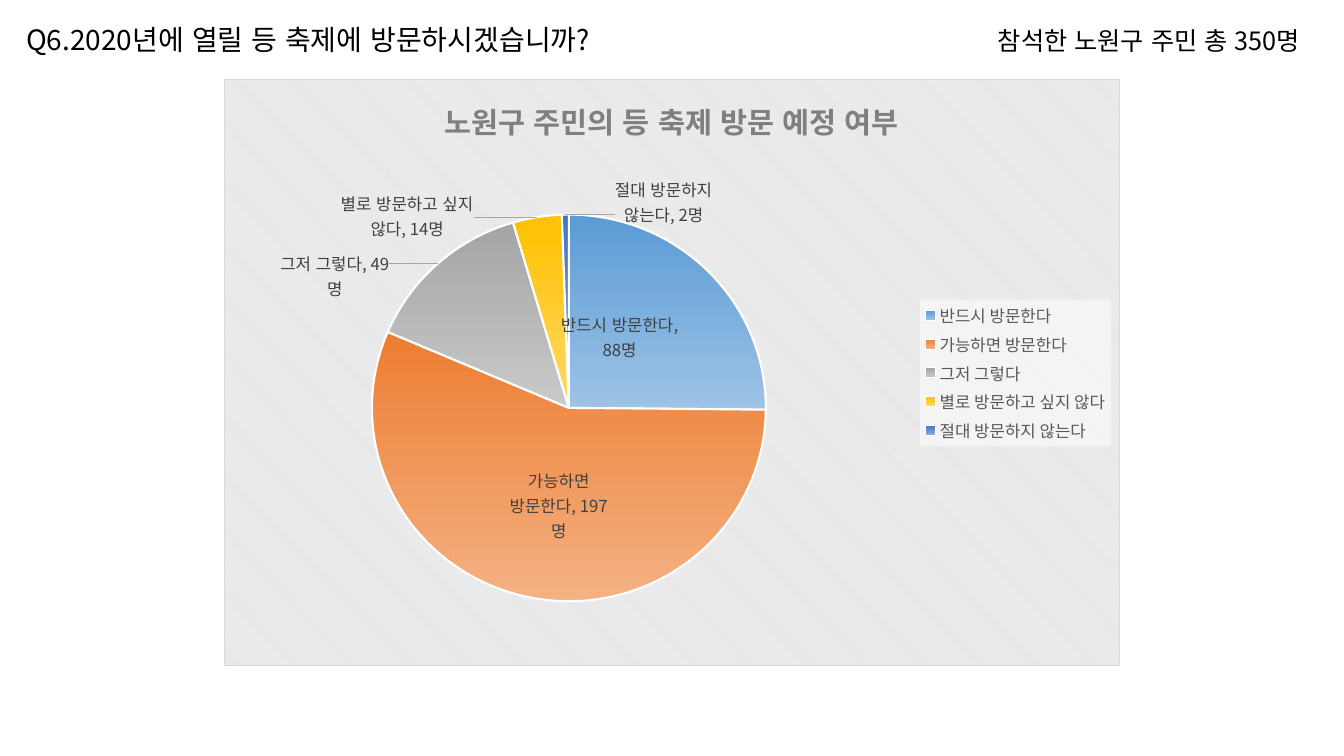
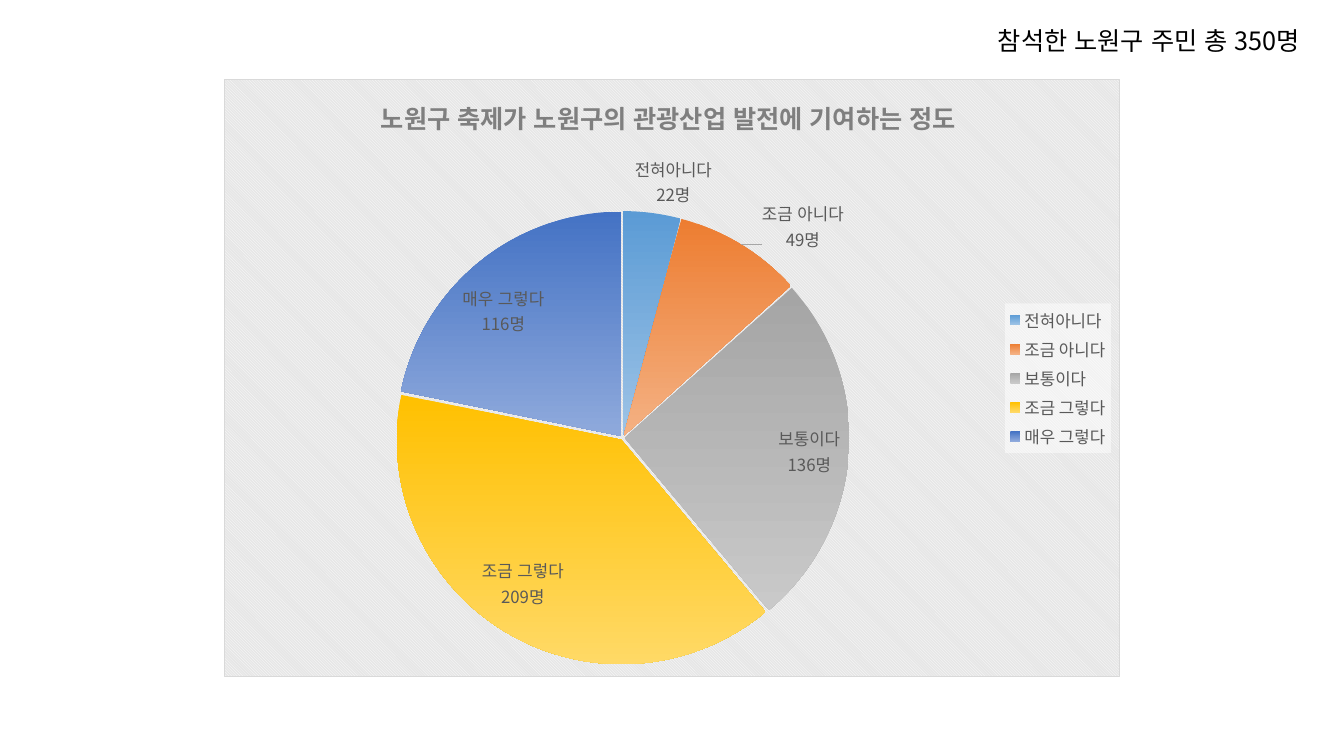
from dataclasses import dataclass

from lxml import etree
from pptx import Presentation
from pptx.chart.data import CategoryChartData
from pptx.dml.color import RGBColor
from pptx.enum.chart import XL_CHART_TYPE as ChartType
from pptx.enum.chart import XL_LABEL_POSITION as LabelPosition
from pptx.enum.chart import XL_LEGEND_POSITION as LegendPosition
from pptx.enum.lang import MSO_LANGUAGE_ID as Language
from pptx.oxml import parse_xml
from pptx.oxml.ns import nsdecls, qn
from pptx.util import Cm, Pt


@dataclass(frozen=True)
class Theme:
    font: str = "Noto Sans CJK KR"
    ink: str = "000000"
    title_grey: str = "7F7F7F"
    legend_grey: str = "595959"
    white: str = "FFFFFF"
    stripe_back: str = "E6E6E6"
    border: str = "D9D9D9"
    leader: str = "A6A6A6"
    slices: tuple = (("5B9BD5", "9DC3E6"), ("ED7D31", "F4B183"),
                     ("A5A5A5", "C9C9C9"), ("FFC000", "FFD966"),
                     ("4472C4", "8FAADC"))
    question_size: float = 20
    note_size: float = 18
    label_size: float = 12
    base_size: float = 10


THEME = Theme()
CHART_BOX = (5.64, 2, 22.58, 15.06)
QUESTION_BOX = (0.41, 0.43, 15.9, 1.12)
NOTE_BOX = (24.9, 0.51, 8.89, 1.02)
RESPONDENTS = "참석한 노원구 주민 총 350명"

# Label offsets are shares of the chart's width and height
VISIT = {
    "question": "Q6.2020년에 열릴 등 축제에 방문하시겠습니까?",
    "title": "노원구 주민의 등 축제 방문 예정 여부",
    "title_size": 21,
    "title_at": (0.24, 0.02),
    "answers": {"반드시 방문한다": 88, "가능하면 방문한다": 197, "그저 그렇다": 49,
                "별로 방문하고 싶지 않다": 14, "절대 방문하지 않는다": 2},
    "labels": ("반드시 방문한다,\n88명", "가능하면\n방문한다, 197\n명",
               "그저 그렇다, 49\n명", "별로 방문하고 싶지\n않다, 14명",
               "절대 방문하지\n않는다, 2명"),
    "label_color": "404040",
    "plot": (0.16, 0.23, 0.45, 0.66),
    "offsets": {0: (-0.17, 0.16), 1: (0.09, -0.23), 2: (-0.05, 0.07),
                3: (-0.07, 0.05), 4: (0.11, 0.03)},
    "outline": 1.5,
    "explosion": 0,
}
TOURISM = {
    "question": None,
    "title": "노원구 축제가 노원구의 관광산업 발전에 기여하는 정도",
    "title_size": 18,
    "title_at": (0.17, 0.02),
    "answers": {"전혀아니다": 22, "조금 아니다": 49, "보통이다": 136,
                "조금 그렇다": 209, "매우 그렇다": 116},
    "labels": ("전혀아니다\n22명", "조금 아니다\n49명", "보통이다\n136명",
               "조금 그렇다\n209명", "매우 그렇다\n116명"),
    "label_color": "595959",
    "plot": (0.19, 0.22, 0.51, 0.76),
    "offsets": {0: (-0.02, 0), 1: (0.02, 0.02)},
    "outline": None,
    "explosion": 1,
}


def style_font(font, size, color, bold=False):
    formats = {"name": THEME.font, "size": Pt(size), "bold": bold}
    for attribute, value in formats.items():
        setattr(font, attribute, value)
    font.color.rgb = RGBColor.from_string(color)
    east_asian = etree.SubElement(font._rPr, qn("a:ea"))
    east_asian.set("typeface", THEME.font)


def style_runs(frame, *style):
    for paragraph in frame.paragraphs:
        for run in paragraph.runs:
            style_font(run.font, *style)
            run.font.language_id = Language.KOREAN


def add_line_of_text(slide, box, text, size):
    frame = slide.shapes.add_textbox(*map(Cm, box)).text_frame
    frame.word_wrap = False
    frame.text = text
    style_runs(frame, size, THEME.ink)


def set_layout(parent, index, **values):
    """Place a chart part by shares, with c: element names as keys."""
    for old in parent.findall(qn("c:layout")):
        parent.remove(old)
    entries = "".join(f'<c:{key} val="{value}"/>' for key, value in values.items())
    parent.insert(index, parse_xml(
        f'<c:layout {nsdecls("c")}><c:manualLayout>{entries}'
        '</c:manualLayout></c:layout>'))


def style_chart_area(chart):
    # Striped background with a thin border
    area = parse_xml(
        f'<c:spPr {nsdecls("c", "a")}><a:pattFill prst="dkDnDiag">'
        f'<a:fgClr><a:srgbClr val="{THEME.white}"/></a:fgClr>'
        f'<a:bgClr><a:srgbClr val="{THEME.stripe_back}"/></a:bgClr></a:pattFill>'
        f'<a:ln w="9525"><a:solidFill><a:srgbClr val="{THEME.border}"/>'
        '</a:solidFill></a:ln></c:spPr>')
    chart._chartSpace.find(qn("c:chart")).addnext(area)


def style_title(chart, survey):
    title = chart.chart_title
    title.include_in_layout = False
    title.text_frame.text = survey["title"]
    style_runs(title.text_frame, survey["title_size"], THEME.title_grey, True)
    x, y = survey["title_at"]
    set_layout(title._element, 1, xMode="edge", yMode="edge", x=x, y=y)


def style_legend(chart):
    chart.has_legend = True
    legend = chart.legend
    legend.position = LegendPosition.RIGHT
    legend.include_in_layout = False
    style_font(legend.font, THEME.label_size, THEME.legend_grey)
    # Half transparent panel
    panel = parse_xml(
        f'<c:spPr {nsdecls("c", "a")}><a:solidFill><a:srgbClr val="{THEME.white}">'
        '<a:alpha val="50000"/></a:srgbClr></a:solidFill></c:spPr>')
    legend._element.find(qn("c:txPr")).addprevious(panel)


def style_slices(series, survey):
    for index, colors in enumerate(THEME.slices):
        look = series.points[index].format
        look.fill.gradient()
        look.fill.gradient_angle = 270
        for stop, color in zip(look.fill.gradient_stops, colors):
            stop.color.rgb = RGBColor.from_string(color)
        if survey["outline"]:
            look.line.width = Pt(survey["outline"])
            look.line.color.rgb = RGBColor.from_string(THEME.white)
        else:
            look.line.fill.background()
    if survey["explosion"]:
        explosion = parse_xml(
            f'<c:explosion {nsdecls("c")} val="{survey["explosion"]}"/>')
        series._element.find(qn("c:dPt")).addprevious(explosion)


def add_labels(series, survey):
    style = (THEME.label_size, survey["label_color"])
    labels = series.data_labels
    formats = {"show_value": True, "show_category_name": True,
               "position": LabelPosition.BEST_FIT}
    for attribute, value in formats.items():
        setattr(labels, attribute, value)
    style_font(labels.font, *style)

    # One worded label for each slice
    for index, wording in enumerate(survey["labels"]):
        label = series.points[index].data_label
        label.text_frame.text = wording
        style_runs(label.text_frame, *style)
        label.position = LabelPosition.BEST_FIT
        label_xml = label._dLbl
        label_xml.find(qn("c:showCatName")).set("val", "1")
        if index in survey["offsets"]:
            x, y = survey["offsets"][index]
            set_layout(label_xml, 1, x=x, y=y)

    # Leader lines
    labels_xml = labels._element
    switch = labels_xml.find(qn("c:showLeaderLines"))
    if switch is None:
        switch = etree.SubElement(labels_xml, qn("c:showLeaderLines"))
    switch.set("val", "1")
    switch.addnext(parse_xml(
        f'<c:leaderLines {nsdecls("c", "a")}><c:spPr><a:ln w="9525"><a:solidFill>'
        f'<a:srgbClr val="{THEME.leader}"/></a:solidFill></a:ln></c:spPr>'
        '</c:leaderLines>'))


def add_pie(slide, box, survey):
    data = CategoryChartData()
    data.categories = list(survey["answers"])
    data.add_series("Series 1", list(survey["answers"].values()))
    chart = slide.shapes.add_chart(ChartType.PIE, *map(Cm, box), data).chart
    style_font(chart.font, THEME.base_size, THEME.ink)
    style_chart_area(chart)
    style_title(chart, survey)
    style_legend(chart)

    plot = chart.plots[0]
    plot.vary_by_categories = True
    x, y, w, h = survey["plot"]
    set_layout(chart._chartSpace.chart.plotArea, 0, layoutTarget="inner",
               xMode="edge", yMode="edge", x=x, y=y, w=w, h=h)
    style_slices(plot.series[0], survey)
    add_labels(plot.series[0], survey)


def add_survey_slide(deck, survey):
    slide = deck.slides.add_slide(deck.slide_layouts[6])
    add_pie(slide, CHART_BOX, survey)
    if survey["question"]:
        add_line_of_text(slide, QUESTION_BOX, survey["question"], THEME.question_size)
    add_line_of_text(slide, NOTE_BOX, RESPONDENTS, THEME.note_size)


def main():
    deck = Presentation()
    deck.slide_width, deck.slide_height = Cm(33.87), Cm(19.05)
    for survey in (VISIT, TOURISM):
        add_survey_slide(deck, survey)
    deck.save("out.pptx")


if __name__ == "__main__":
    main()
